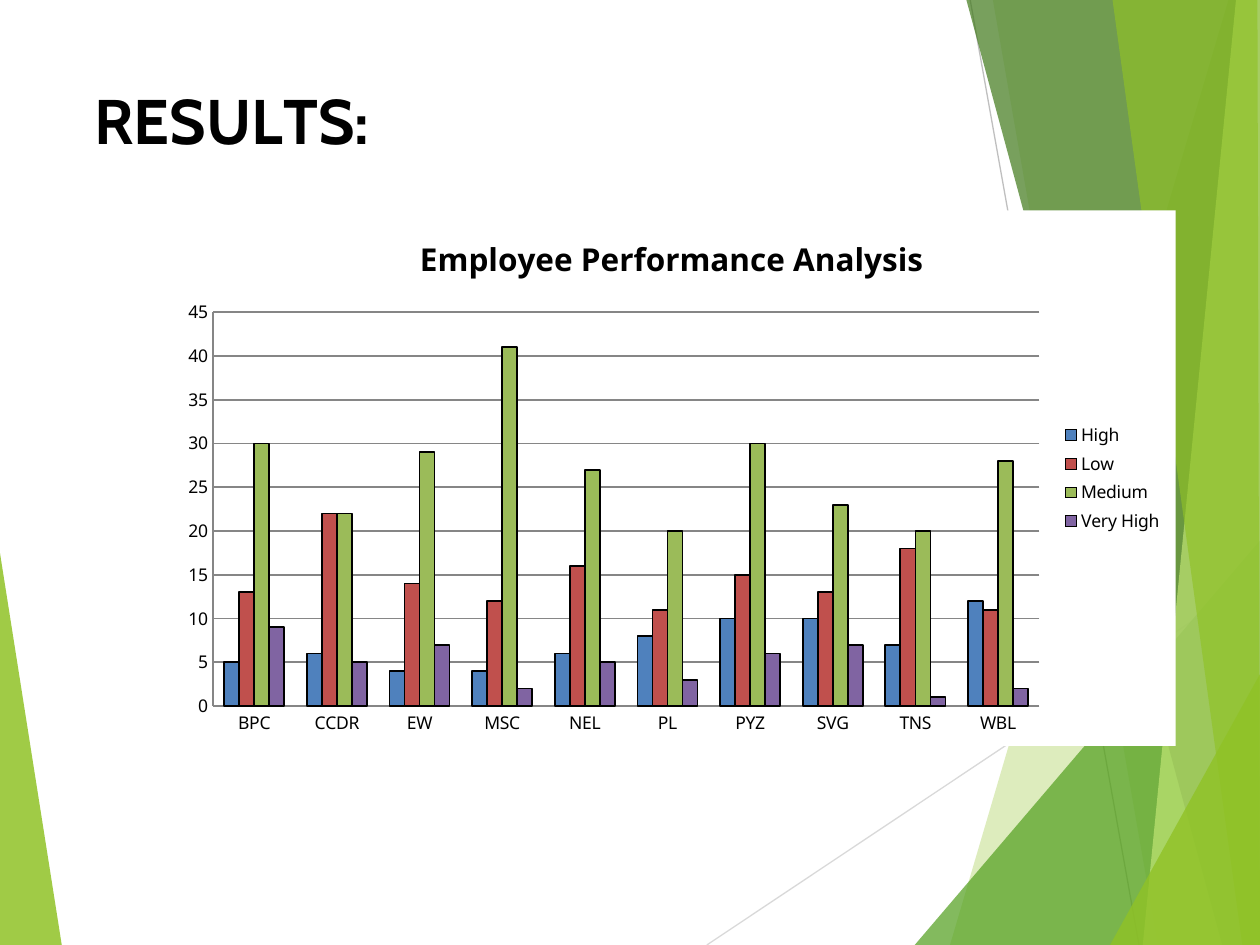
from pptx import Presentation
from pptx.chart.data import CategoryChartData
from pptx.dml.color import RGBColor
from pptx.enum.chart import XL_CHART_TYPE as ChartType, XL_LEGEND_POSITION as LegendPos
from pptx.enum.chart import XL_TICK_MARK as Tick
from pptx.enum.shapes import MSO_CONNECTOR as Connector
from pptx.oxml import parse_xml
from pptx.oxml.ns import nsdecls, qn
from pptx.util import Inches, Pt
from lxml import etree

WIDTH, HEIGHT = 10, 7.5
BLACK = RGBColor(0, 0, 0)
WHITE = RGBColor(0xFF, 0xFF, 0xFF)
GRID = RGBColor(0x86, 0x86, 0x86)
SILVER = RGBColor(0xBF, 0xBF, 0xBF)
LIGHT_GREY = RGBColor(0xD9, 0xD9, 0xD9)
LIME = RGBColor(0x90, 0xC2, 0x26)
GREEN = RGBColor(0x54, 0xA0, 0x21)
DARK_GREEN = RGBColor(0x3F, 0x78, 0x19)
PALE_LIME = RGBColor(0xC0, 0xE4, 0x74)
BLUE = RGBColor(0x4F, 0x81, 0xBD)
RED = RGBColor(0xC0, 0x50, 0x4D)
OLIVE = RGBColor(0x9B, 0xBB, 0x59)
PURPLE = RGBColor(0x80, 0x64, 0xA2)

# (points, colour, opacity in percent), from back to front
LEFT_FACET = ([(0, 4.39), (0.49, HEIGHT), (0, HEIGHT)], LIME, 85)
RIGHT_FACETS = [
    ([(9.75, 0), (7.54, HEIGHT), (WIDTH, HEIGHT), (WIDTH, 0)], LIME, 30),
    ([(7.88, 0), (9.19, HEIGHT), (WIDTH, HEIGHT), (WIDTH, 0)], LIME, 20),
    ([(7.26, HEIGHT), (WIDTH, 4.29), (WIDTH, HEIGHT)], GREEN, 72),
    ([(7.67, 0), (9.7, HEIGHT), (WIDTH, HEIGHT), (WIDTH, 0)], DARK_GREEN, 70),
    ([(9.81, 0), (9.07, HEIGHT), (WIDTH, HEIGHT), (WIDTH, 0)], PALE_LIME, 70),
    ([(8.83, 0), (9.86, HEIGHT), (WIDTH, HEIGHT), (9.98, 0)], LIME, 65),
    ([(8.81, HEIGHT), (WIDTH, 5.35), (WIDTH, HEIGHT)], LIME, 80),
]
# (text, letter spacing in points)
TITLE = [("R", 0), ("E", -0.4), ("S", 0.1), ("U", -0.3), ("L", -4), ("TS:", 0)]
UNITS = ["BPC", "CCDR", "EW", "MSC", "NEL", "PL", "PYZ", "SVG", "TNS", "WBL"]
RATINGS = [
    ("High", BLUE, [5, 6, 4, 4, 6, 8, 10, 10, 7, 12]),
    ("Low", RED, [13, 22, 14, 12, 16, 11, 15, 13, 18, 11]),
    ("Medium", OLIVE, [30, 22, 29, 41, 27, 20, 30, 23, 20, 28]),
    ("Very High", PURPLE, [9, 5, 7, 2, 5, 3, 6, 7, 1, 2]),
]


class Deck:
    TITLE_FONT = {"name": "Cabin", "size": Pt(36), "bold": True}
    CHART_FONT = {"name": "Noto Sans", "size": Pt(10), "bold": False}
    CHART_TITLE_FONT = {"name": "Noto Sans", "size": Pt(18), "bold": True}

    def __init__(self):
        self.prs = Presentation()
        self.prs.slide_width, self.prs.slide_height = Inches(WIDTH), Inches(HEIGHT)
        self.s = self.prs.slides.add_slide(self.prs.slide_layouts[6])

    def font(self, font, style):
        for key, value in style.items():
            setattr(font, key, value)
        font.color.rgb = BLACK

    def line(self, line, color, width):
        line.color.rgb = color
        line.width = Pt(width)

    def facet(self, points, color, opacity):
        start, *rest = [(Inches(x), Inches(y)) for x, y in points]
        builder = self.s.shapes.build_freeform(*start)
        builder.add_line_segments(rest, close=True)
        sp = builder.convert_to_shape()
        sp.shadow.inherit = False
        sp.line.fill.background()
        sp.fill.solid()
        sp.fill.fore_color.rgb = color
        rgb = sp.fill._xPr.find(".//" + qn("a:srgbClr"))
        etree.SubElement(rgb, qn("a:alpha"), val=str(opacity * 1000))

    def connector(self, x1, y1, x2, y2, color):
        sp = self.s.shapes.add_connector(
            Connector.STRAIGHT, Inches(x1), Inches(y1), Inches(x2), Inches(y2))
        self.line(sp.line, color, 0.75)
        etree.SubElement(sp._element.spPr, qn("a:effectLst"))

    def title(self, x, y, w, h, pieces):
        sp = self.s.shapes.add_textbox(Inches(x), Inches(y), Inches(w), Inches(h))
        tf = sp.text_frame
        frame = {"word_wrap": True, "margin_left": Inches(0.08), "margin_top": Inches(0.07)}
        for key, value in frame.items():
            setattr(tf, key, value)
        for text, spacing in pieces:
            r = tf.paragraphs[0].add_run()
            r.text = text
            self.font(r.font, self.TITLE_FONT)
            r.font._element.set("spc", str(round(spacing * 100)))

    def column_chart(self, x, y, w, h, title, categories, series):
        data = CategoryChartData()
        data.categories = categories
        for name, _, values in series:
            data.add_series(name, values)
        chart = self.s.shapes.add_chart(
            ChartType.COLUMN_CLUSTERED, Inches(x), Inches(y), Inches(w), Inches(h), data).chart
        self.font(chart.font, self.CHART_FONT)
        chart.has_title = True
        tf = chart.chart_title.text_frame
        tf.text = title
        self.font(tf.paragraphs[0].runs[0].font, self.CHART_TITLE_FONT)

        chart.has_legend = True
        chart.legend.position = LegendPos.RIGHT
        chart.legend.include_in_layout = False
        self.font(chart.legend.font, self.CHART_FONT)

        for axis in (chart.category_axis, chart.value_axis):
            axis.major_tick_mark = axis.minor_tick_mark = Tick.NONE
            self.font(axis.tick_labels.font, self.CHART_FONT)
            self.line(axis.format.line, GRID, 1)
        for key, value in {"minimum_scale": 0, "maximum_scale": 45, "major_unit": 5}.items():
            setattr(chart.value_axis, key, value)
        self.line(chart.value_axis.major_gridlines.format.line, GRID, 1)

        plot = chart.plots[0]
        plot.gap_width, plot.overlap, plot.vary_by_categories = 150, 0, False
        for bars, (_, color, _) in zip(plot.series, series):
            bars.format.fill.solid()
            bars.format.fill.fore_color.rgb = color
            self.line(bars.format.line, BLACK, 1)
        self.chart_background(chart)

    def chart_background(self, chart):
        """Paint chart and plot area white and fix the inner plot area."""
        fill = (f'<c:spPr {nsdecls("c", "a")}><a:solidFill><a:srgbClr val="{WHITE}"/>'
                '</a:solidFill><a:ln><a:noFill/></a:ln></c:spPr>')
        space = chart._chartSpace
        space.find(qn("c:chart")).addnext(parse_xml(fill))
        area = space.find(".//" + qn("c:plotArea"))
        area.append(parse_xml(fill))
        for old in area.findall(qn("c:layout")):
            area.remove(old)
        parts = [("layoutTarget", "inner"), ("xMode", "edge"), ("yMode", "edge"),
                 ("x", 0.045), ("y", 0.19), ("w", 0.82), ("h", 0.736)]
        items = "".join(f'<c:{tag} val="{value}"/>' for tag, value in parts)
        area.insert(0, parse_xml(f'<c:layout {nsdecls("c")}><c:manualLayout>{items}'
                                 '</c:manualLayout></c:layout>'))


def main():
    deck = Deck()
    deck.facet(*LEFT_FACET)
    deck.connector(5.61, HEIGHT, WIDTH, 4.57, LIGHT_GREY)
    deck.connector(7.7, 0, 9.04, HEIGHT, SILVER)
    for facet in RIGHT_FACETS:
        deck.facet(*facet)
    deck.title(0.67, 0.58, 2.92, 0.71, TITLE)
    deck.column_chart(1.33, 1.67, 8, 4.25, "Employee Performance Analysis", UNITS, RATINGS)
    deck.prs.save("out.pptx")


if __name__ == "__main__":
    main()
